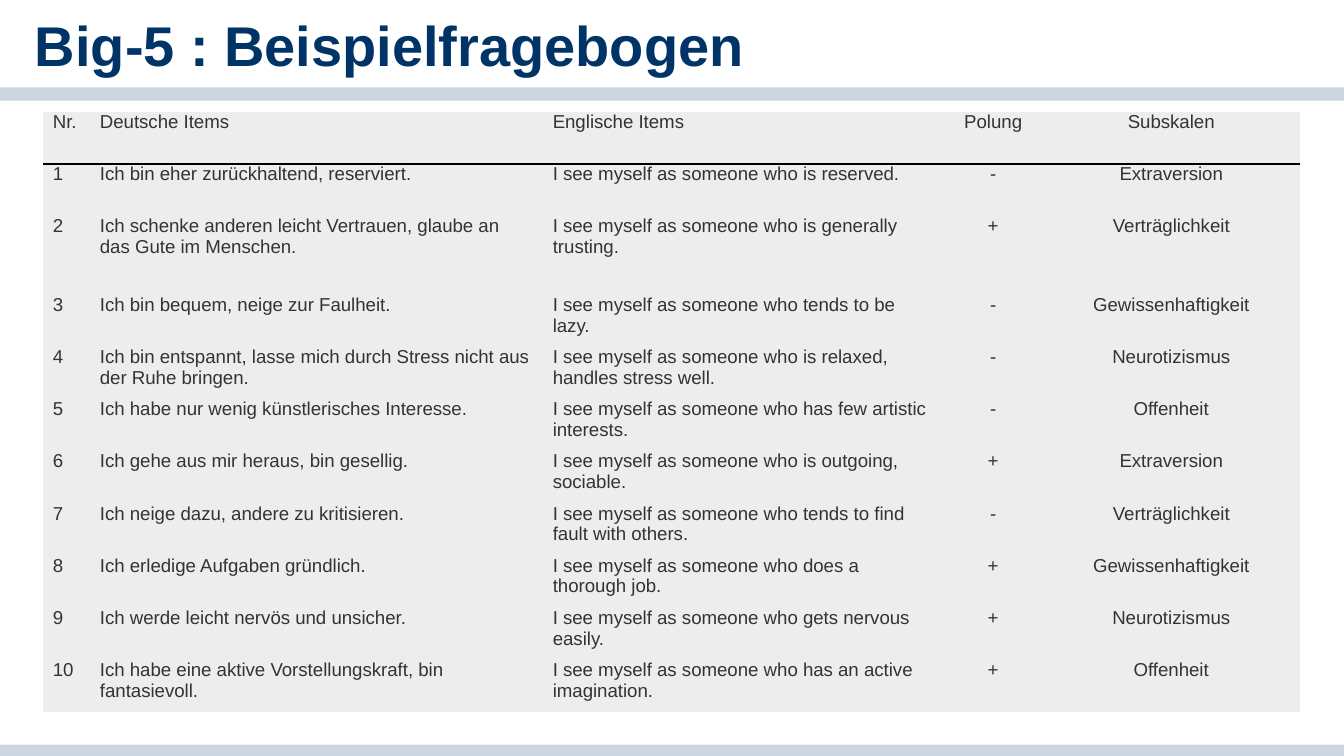
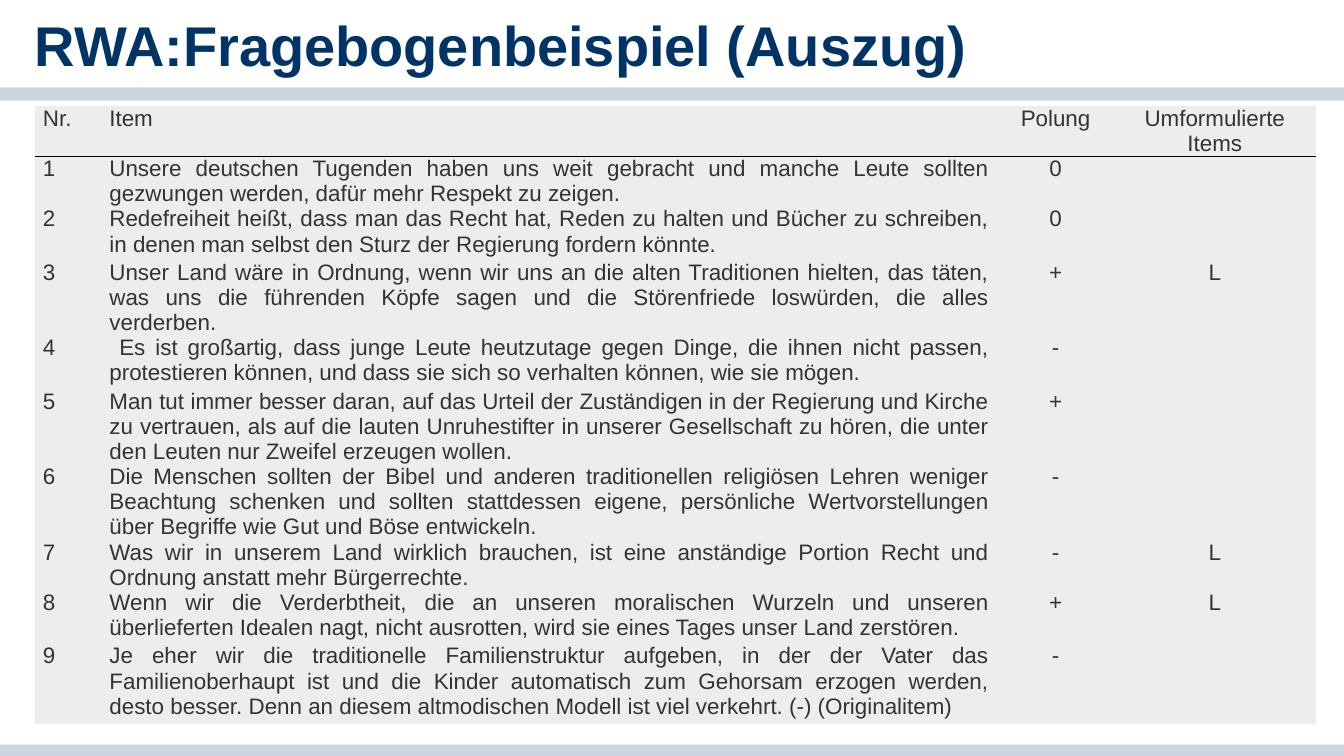
from typing import NamedTuple

from lxml.etree import SubElement
from pptx import Presentation
from pptx.dml.color import RGBColor
from pptx.enum.shapes import MSO_SHAPE
from pptx.enum.text import MSO_ANCHOR, MSO_AUTO_SIZE, PP_ALIGN
from pptx.oxml import parse_xml
from pptx.oxml.ns import nsdecls, qn
from pptx.util import Inches, Pt

COLORS = {
    "band": "CCD6E0",
    "title": "003366",
    "text": "333333",
    "cell": "EDEDED",
    "rule": "000000",
}
FONT = "Arial"
WIDTH = Inches(10)
HEIGHT = WIDTH * 9 // 16
NO_STYLE = "{2D5ABB26-0587-4C30-8999-92F81FD0307C}"
LEFT, CENTER, JUSTIFY = PP_ALIGN.LEFT, PP_ALIGN.CENTER, PP_ALIGN.JUSTIFY
SIDES = ("lnL", "lnR", "lnT", "lnB")
RULED_SIDES = {0: "lnB", 1: "lnT"}


class Box(NamedTuple):
    """Left, top, width and height in percent of the slide."""
    left: float
    top: float
    width: float
    height: float


class Questionnaire(NamedTuple):
    """A slide with a title and one item table, sizes in percent of the slide."""
    title: str
    left: float
    top: float
    cols: list[float]
    rows: list[float]
    aligns: list[PP_ALIGN]
    size: int
    margin: float
    cells: list[tuple[str, ...]]


BANDS = [Box(0, 98.5, 100, 1.78), Box(0, 11.56, 100, 1.78)]
TITLE = Box(2.6, 1.42, 70.6, 8.36)

BIG_FIVE = Questionnaire(
    title="Big-5 : Beispielfragebogen",
    left=3.2,
    top=14.8,
    cols=[3.5, 33.7, 29.8, 7.4, 19.1],
    rows=[6.9] * 2 + [10.4] + [6.9] * 8,
    aligns=[LEFT, LEFT, LEFT, CENTER, CENTER],
    size=10,
    margin=5.3,
    cells=[
        ("Nr.", "Deutsche Items", "Englische Items", "Polung", "Subskalen"),
        ("1", "Ich bin eher zurückhaltend, reserviert.",
         "I see myself as someone who is reserved.", "-", "Extraversion"),
        ("2", "Ich schenke anderen leicht Vertrauen, glaube an das Gute im Menschen.",
         "I see myself as someone who is generally trusting.", "+", "Verträglichkeit"),
        ("3", "Ich bin bequem, neige zur Faulheit.",
         "I see myself as someone who tends to be lazy.", "-", "Gewissenhaftigkeit"),
        ("4", "Ich bin entspannt, lasse mich durch Stress nicht aus der Ruhe bringen.",
         "I see myself as someone who is relaxed, handles stress well.", "-", "Neurotizismus"),
        ("5", "Ich habe nur wenig künstlerisches Interesse.",
         "I see myself as someone who has few artistic interests.", "-", "Offenheit"),
        ("6", "Ich gehe aus mir heraus, bin gesellig.",
         "I see myself as someone who is outgoing, sociable.", "+", "Extraversion"),
        ("7", "Ich neige dazu, andere zu kritisieren.",
         "I see myself as someone who tends to find fault with others.", "-", "Verträglichkeit"),
        ("8", "Ich erledige Aufgaben gründlich.",
         "I see myself as someone who does a thorough job.", "+", "Gewissenhaftigkeit"),
        ("9", "Ich werde leicht nervös und unsicher.",
         "I see myself as someone who gets nervous easily.", "+", "Neurotizismus"),
        ("10", "Ich habe eine aktive Vorstellungskraft, bin fantasievoll.",
         "I see myself as someone who has an active imagination.", "+", "Offenheit"),
    ],
)

RWA = Questionnaire(
    title="RWA:Fragebogenbeispiel (Auszug)",
    left=2.6,
    top=14.04,
    cols=[4.95, 66.7, 8.6, 15.1],
    rows=[4.6, 4.6, 7.1, 7.1, 7.1, 9.4, 9.4, 4.6, 7.1, 10.65],
    aligns=[LEFT, JUSTIFY, CENTER, CENTER],
    size=12,
    margin=4.3,
    cells=[
        ("Nr.", "Item", "Polung", "Umformulierte\nItems"),
        ("1", "Unsere deutschen Tugenden haben uns weit gebracht und manche Leute sollten "
         "gezwungen werden, dafür mehr Respekt zu zeigen.", "0", ""),
        ("2", "Redefreiheit heißt, dass man das Recht hat, Reden zu halten und Bücher zu "
         "schreiben, in denen man selbst den Sturz der Regierung fordern könnte.", "0", ""),
        ("3", "Unser Land wäre in Ordnung, wenn wir uns an die alten Traditionen hielten, das "
         "täten, was uns die führenden Köpfe sagen und die Störenfriede loswürden, die alles "
         "verderben.", "+", "L"),
        ("4", " Es ist großartig, dass junge Leute heutzutage gegen Dinge, die ihnen nicht "
         "passen, protestieren können, und dass sie sich so verhalten können, wie sie mögen.",
         "-", ""),
        ("5", "Man tut immer besser daran, auf das Urteil der Zuständigen in der Regierung und "
         "Kirche zu vertrauen, als auf die lauten Unruhestifter in unserer Gesellschaft zu "
         "hören, die unter den Leuten nur Zweifel erzeugen wollen.", "+", ""),
        ("6", "Die Menschen sollten der Bibel und anderen traditionellen religiösen Lehren "
         "weniger Beachtung schenken und sollten stattdessen eigene, persönliche "
         "Wertvorstellungen über Begriffe wie Gut und Böse entwickeln.", "-", ""),
        ("7", "Was wir in unserem Land wirklich brauchen, ist eine anständige Portion Recht und "
         "Ordnung anstatt mehr Bürgerrechte.", "-", "L"),
        ("8", "Wenn wir die Verderbtheit, die an unseren moralischen Wurzeln und unseren "
         "überlieferten Idealen nagt, nicht ausrotten, wird sie eines Tages unser Land "
         "zerstören.", "+", "L"),
        ("9", "Je eher wir die traditionelle Familienstruktur aufgeben, in der der Vater das "
         "Familienoberhaupt ist und die Kinder automatisch zum Gehorsam erzogen werden, desto "
         "besser. Denn an diesem altmodischen Modell ist viel verkehrt. (-) (Originalitem)",
         "-", ""),
    ],
)


def across(percent: float) -> int:
    """Turn a percentage of the slide width into a length."""
    return round(WIDTH * percent / 100)


def down(percent: float) -> int:
    """Turn a percentage of the slide height into a length."""
    return round(HEIGHT * percent / 100)


def place(box: Box) -> tuple[int, int, int, int]:
    """Return a box as lengths."""
    return across(box.left), down(box.top), across(box.width), down(box.height)


def format_runs(tf, size: int, color: str, align: PP_ALIGN, bold: bool = False) -> None:
    """Format every paragraph and run of a text frame."""
    for p in tf.paragraphs:
        p.alignment = align
        for r in p.runs:
            r.font.name = FONT
            r.font.size = Pt(size)
            r.font.bold = bold
            r.font.color.rgb = RGBColor.from_string(COLORS[color])


def add_master_bands(prs, s) -> None:
    """Draw the bands and hand them to the slide master."""
    tree = prs.slide_master.shapes.element
    for number, box in enumerate(BANDS):
        sp = s.shapes.add_shape(MSO_SHAPE.RECTANGLE, *place(box))
        sp.shadow.inherit = False
        sp.fill.solid()
        sp.fill.fore_color.rgb = RGBColor.from_string(COLORS["band"])
        sp.line.fill.background()
        sp.element.nvSpPr.cNvPr.set("id", str(100 + number))
        tree.insert(2 + number, sp.element)


def set_title(s, text: str) -> None:
    """Fill and format the title placeholder."""
    sp = s.shapes.title
    sp.left, sp.top, sp.width, sp.height = place(TITLE)
    tf = sp.text_frame
    tf.margin_left = tf.margin_top = tf.margin_right = tf.margin_bottom = 0
    tf.vertical_anchor = MSO_ANCHOR.TOP
    tf.auto_size = MSO_AUTO_SIZE.NONE
    tf.word_wrap = True
    tf.text = text
    format_runs(tf, 30, "title", LEFT, bold=True)


def set_borders(cell, ruled_side: str | None) -> None:
    """Give a cell a one point rule on one side and no line elsewhere."""
    tc_pr = cell._tc.get_or_add_tcPr()
    for position, side in enumerate(SIDES):
        ln = parse_xml(f'<a:{side} {nsdecls("a")} w="{Pt(1)}"/>')
        if side == ruled_side:
            fill = SubElement(ln, qn("a:solidFill"))
            SubElement(fill, qn("a:srgbClr"), val=COLORS["rule"])
        else:
            SubElement(ln, qn("a:noFill"))
        tc_pr.insert(position, ln)


def add_item_table(s, q: Questionnaire) -> None:
    """Draw the item table of a questionnaire."""
    box = Box(q.left, q.top, sum(q.cols), sum(q.rows))
    frame = s.shapes.add_table(len(q.rows), len(q.cols), *place(box))
    table = frame.table
    table.first_row = table.horz_banding = False
    frame.element.find(f".//{qn('a:tableStyleId')}").text = NO_STYLE
    for col, width in zip(table.columns, q.cols):
        col.width = across(width)
    for i, (row, height, texts) in enumerate(zip(table.rows, q.rows, q.cells)):
        row.height = down(height)
        for cell, text, align in zip(row.cells, texts, q.aligns):
            cell.margin_left = cell.margin_right = Pt(q.margin)
            cell.margin_top = cell.margin_bottom = 0
            cell.fill.solid()
            cell.fill.fore_color.rgb = RGBColor.from_string(COLORS["cell"])
            cell.text_frame.text = text
            header_align = LEFT if i == 0 and align == JUSTIFY else align
            format_runs(cell.text_frame, q.size, "text", header_align)
            set_borders(cell, RULED_SIDES.get(i))


def main() -> None:
    """Build and save the presentation."""
    prs = Presentation()
    prs.slide_width, prs.slide_height = WIDTH, HEIGHT
    for number, q in enumerate((BIG_FIVE, RWA)):
        s = prs.slides.add_slide(prs.slide_layouts[5])
        if number == 0:
            add_master_bands(prs, s)
        set_title(s, q.title)
        add_item_table(s, q)
    prs.save("out.pptx")


if __name__ == "__main__":
    main()
